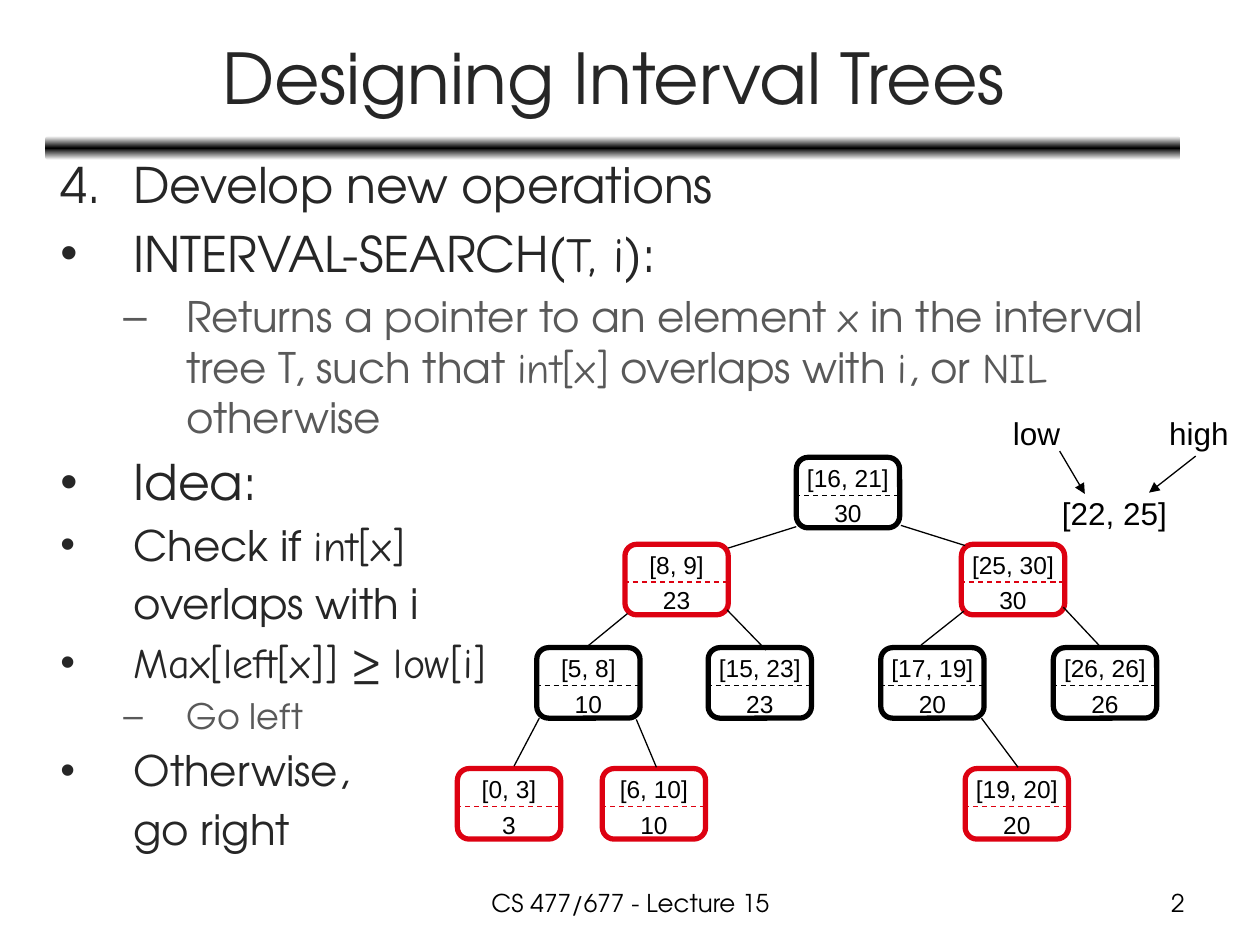
from lxml import etree
from pptx import Presentation
from pptx.dml.color import RGBColor
from pptx.enum import dml, shapes, text
from pptx.oxml import ns
from pptx.util import Inches, Pt

hues = {"dark": "262626", "gray": "595959", "black": "000000",
        "red": "DD0111", "white": "FFFFFF"}
MAIN, HAND, SANS = "TeX Gyre Adventor", "Comic Neue", "Arial"


def style(run, size, face, hue):
    run.font.size = Pt(size)
    run.font.name = face
    run.font.color.rgb = RGBColor.from_string(hues[hue])


def link(x1, y1, x2, y2, hue="black"):
    line = slide.shapes.add_connector(
        shapes.MSO_CONNECTOR.STRAIGHT,
        Inches(x1), Inches(y1), Inches(x2), Inches(y2))
    line.line.width = Pt(0.75)
    line.line.color.rgb = RGBColor.from_string(hues[hue])
    etree.SubElement(line._element.spPr, ns.qn("a:effectLst"))
    return line


deck = Presentation()
deck.slide_width, deck.slide_height = Inches(10), Inches(7.5)
slide = deck.slides.add_slide(deck.slide_layouts[1])
title, body = slide.placeholders

bar = slide.shapes.add_shape(
    shapes.MSO_SHAPE.ROUNDED_RECTANGLE,
    Inches(0.36), Inches(1.08), Inches(9.01), Inches(0.19))
bar.shadow.inherit = False
bar.line.fill.background()
bar.fill.gradient()
bar.fill.gradient_angle = 90
stops = bar._element.spPr.find(ns.qn("a:gradFill")).find(ns.qn("a:gsLst"))
for stop in list(stops):
    stops.remove(stop)
for pos, hue in [(0, "white"), (50000, "black"), (100000, "white")]:
    stop = etree.SubElement(stops, ns.qn("a:gs"), pos=str(pos))
    etree.SubElement(stop, ns.qn("a:srgbClr"), val=hues[hue])
slide.shapes._spTree.insert(2, bar._element)

for holder, box in [(title, (0.37, 0.11, 9, 0.99)),
                    (body, (0.38, 1.18, 8.95, 5.55))]:
    holder.left, holder.top, holder.width, holder.height = map(Inches, box)
    holder.text_frame.auto_size = text.MSO_AUTO_SIZE.NONE
    holder.text_frame.word_wrap = True
title.text_frame.text = "Designing Interval Trees"
title.text_frame.vertical_anchor = text.MSO_ANCHOR.MIDDLE
head = title.text_frame.paragraphs[0]
head.alignment = text.PP_ALIGN.CENTER
style(head.runs[0], 40, MAIN, "dark")

items = [
    ("4.", 28, [("Develop new operations", MAIN)]),
    ("•", 28, [("INTERVAL-SEARCH(", MAIN), ("T, i", HAND), ("):", MAIN)]),
    ("–", 24, [("Returns a pointer to an element ", MAIN), ("x", HAND),
               (" in the interval tree T, such that ", MAIN),
               ("int[x]", HAND), (" overlaps with ", MAIN), ("i", HAND),
               (", or ", MAIN), ("NIL", HAND), (" otherwise", MAIN)]),
    ("•", 28, [("Idea:", MAIN)]),
    ("•", 24, [("Check if ", MAIN), ("int[x]", HAND)]),
    ("", 24, [("overlaps with i", MAIN)]),
    ("•", 24, [("Max[left[x]] ", HAND), ("≥ ", MAIN), ("low[i]", HAND)]),
    ("–", 20, [("Go left", MAIN)]),
    ("•", 24, [("Otherwise,", MAIN)]),
    ("", 24, [("go right", MAIN)]),
]
frame = body.text_frame
for n, (mark, size, parts) in enumerate(items):
    para = frame.add_paragraph() if n else frame.paragraphs[0]
    sub = mark == "–"
    para.level = int(sub)
    left, hang = (1, -0.5) if sub else (0.58, -0.58 if mark else 0)
    props = para._p.get_or_add_pPr()
    props.set("marL", str(Inches(left)))
    props.set("indent", str(Inches(hang)))
    gap = etree.SubElement(props, ns.qn("a:spcBef"))
    etree.SubElement(gap, ns.qn("a:spcPct"), val="20000")
    if mark == "4.":
        etree.SubElement(props, ns.qn("a:buFont"), typeface="+mj-lt")
        etree.SubElement(props, ns.qn("a:buAutoNum"),
                         type="arabicPeriod", startAt="4")
    elif mark:
        etree.SubElement(props, ns.qn("a:buFont"), typeface=SANS)
        etree.SubElement(props, ns.qn("a:buChar"), char=mark)
    else:
        etree.SubElement(props, ns.qn("a:buNone"))
    for words, face in parts:
        run = para.add_run()
        run.text = words
        style(run, size, face, "gray" if sub else "dark")

rows = [
    (3.63, "black", [(6.32, "[16, 21]", 30)]),
    (4.32, "red", [(4.96, "[8, 9]", 23), (7.63, "[25, 30]", 30)]),
    (5.14, "black", [(4.26, "[5, 8]", 10), (5.62, "[15, 23]", 23),
                     (6.99, "[17, 19]", 20), (8.36, "[26, 26]", 26)]),
    (6.1, "red", [(3.63, "[0, 3]", 3), (4.78, "[6, 10]", 10),
                  (7.66, "[19, 20]", 20)]),
]
for top, hue, nodes in rows:
    for left, span, peak in nodes:
        node = slide.shapes.add_shape(
            shapes.MSO_SHAPE.ROUNDED_RECTANGLE,
            Inches(left), Inches(top), Inches(0.82), Inches(0.56))
        node.shadow.inherit = False
        node.fill.background()
        node.line.width = Pt(3)
        node.line.color.rgb = RGBColor.from_string(hues[hue])
        frame = node.text_frame
        frame.word_wrap = False
        frame.vertical_anchor = text.MSO_ANCHOR.MIDDLE
        frame.text = f"{span}\n{peak}"
        for para in frame.paragraphs:
            para.alignment = text.PP_ALIGN.CENTER
            para.line_spacing = 1.2
            style(para.runs[0], 14, SANS, "black")
        split = link(left - 0.01, top + 0.3, left + 0.83, top + 0.3, hue)
        split.line.dash_style = dml.MSO_LINE.DASH

edges = [
    (6.32, 4.18, 5.78, 4.35), (7.15, 4.17, 7.66, 4.33),
    (4.98, 4.87, 4.65, 5.14), (5.77, 4.84, 6.08, 5.16),
    (7.65, 4.85, 7.31, 5.12), (8.44, 4.82, 8.74, 5.14),
    (4.28, 5.7, 4.08, 6.08), (5.05, 5.71, 5.21, 6.09),
    (7.79, 5.7, 8.08, 6.09),
]
for edge in edges:
    link(*edge)
for edge in [(9.49, 3.62, 9.12, 3.91), (8.41, 3.58, 8.61, 3.92)]:
    arrow = link(*edge)
    etree.SubElement(arrow.line._get_or_add_ln(), ns.qn("a:tailEnd"),
                     type="triangle")

LEFT, MID, RIGHT = text.PP_ALIGN.LEFT, text.PP_ALIGN.CENTER, text.PP_ALIGN.RIGHT
notes = [
    ("[22, 25]", 8.33, 3.87, 1.03, 0.4, 18, SANS, LEFT),
    ("high", 9.18, 3.24, 0.67, 0.4, 18, SANS, LEFT),
    ("low", 7.94, 3.24, 0.58, 0.4, 18, SANS, LEFT),
    ("CS 477/677 - Lecture 15", 3.42, 7, 3.17, 0.35, 14, MAIN, MID),
    ("2", 7.17, 7, 2.33, 0.35, 14, MAIN, RIGHT),
]
for words, left, top, wide, high, size, face, side in notes:
    label = slide.shapes.add_textbox(
        Inches(left), Inches(top), Inches(wide), Inches(high))
    frame = label.text_frame
    frame.word_wrap = face == MAIN
    if face == SANS:
        frame.auto_size = text.MSO_AUTO_SIZE.SHAPE_TO_FIT_TEXT
        frame.margin_right = Inches(0.05)
    frame.text = words
    para = frame.paragraphs[0]
    para.alignment = side
    style(para.runs[0], size, face, "black")

deck.save("out.pptx")
